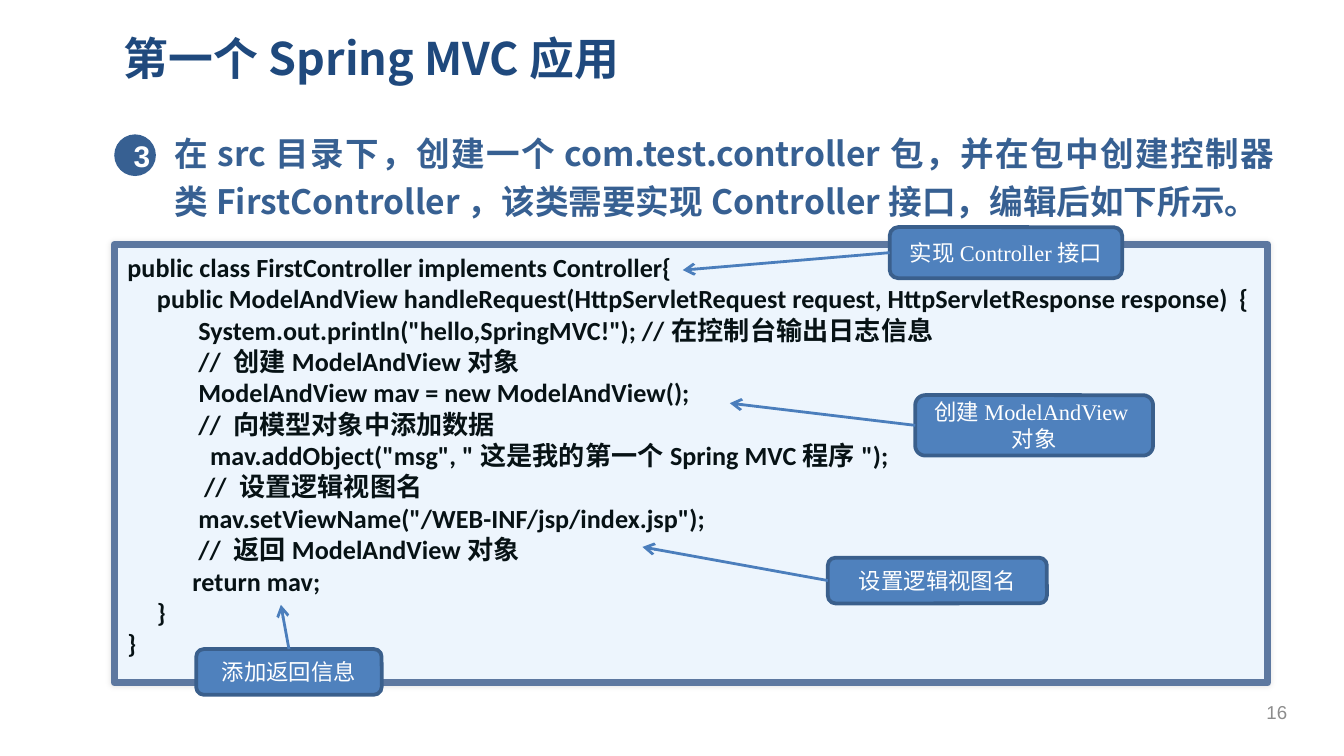
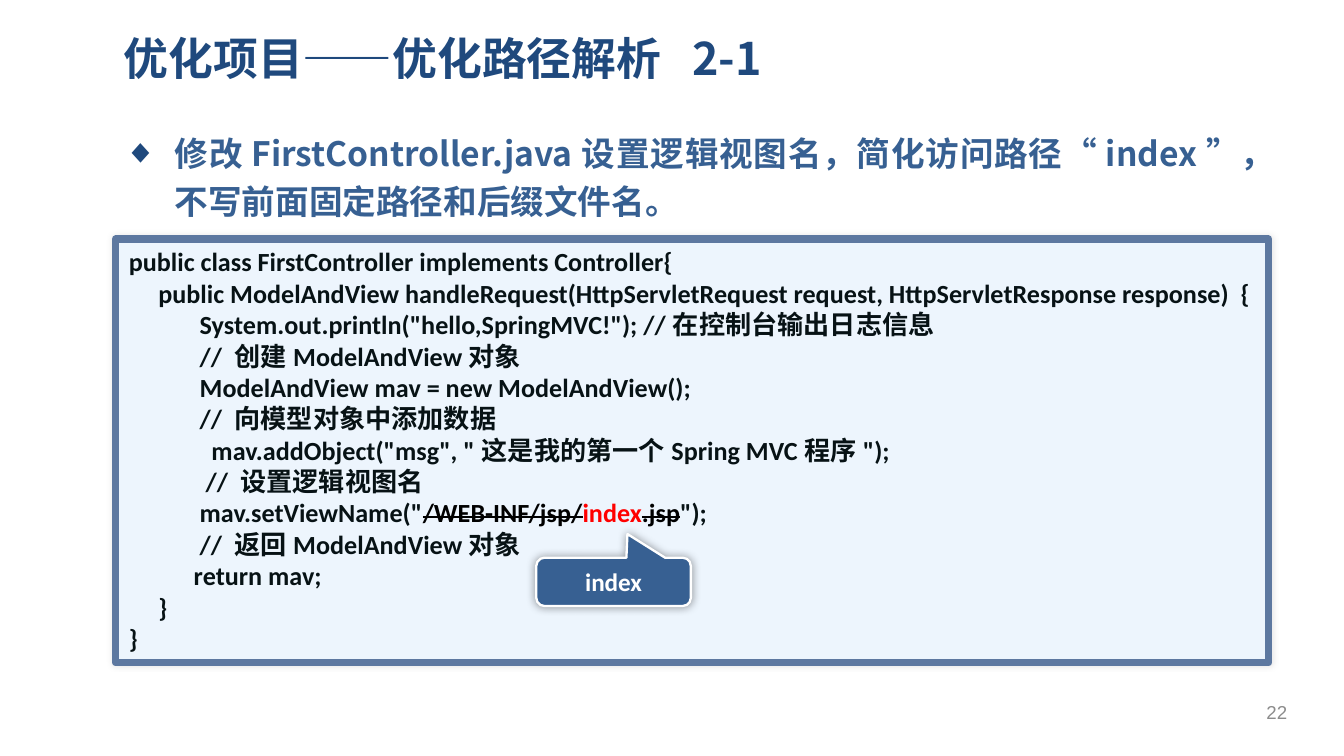
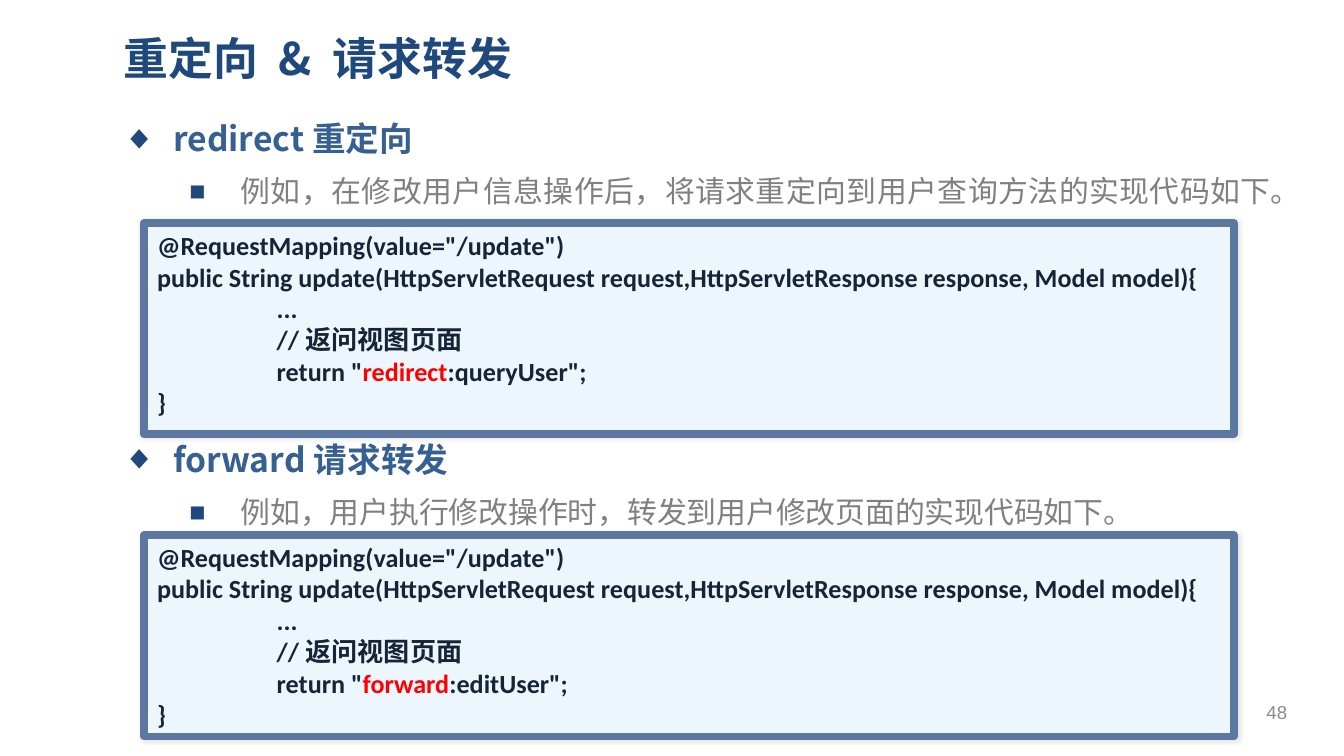
from lxml import etree
from pptx import Presentation
from pptx.dml.color import RGBColor
from pptx.enum import shapes, text
from pptx.oxml import ns
from pptx.util import Inches, Pt

NAVY = RGBColor(0x1F, 0x49, 0x7D)
BLUE = RGBColor(0x37, 0x60, 0x92)
GREY = RGBColor(0x80, 0x80, 0x80)
NUMBER_GREY = RGBColor(0x8C, 0x8C, 0x8C)
WHITE = RGBColor(0xFF, 0xFF, 0xFF)
BLACK = RGBColor(0, 0, 0)
RED = RGBColor(0xFF, 0, 0)
CODE_FILL = RGBColor(0xED, 0xF5, 0xFD)
CODE_BORDER = RGBColor(0x5D, 0x78, 0xA0)
CODE_INK = RGBColor(0x07, 0x12, 0x15)
CODE_NAVY = RGBColor(0x15, 0x24, 0x37)
NOTE_FILL = RGBColor(0x4F, 0x81, 0xBD)
NOTE_BORDER = RGBColor(0x3A, 0x5F, 0x8C)
ARROW = RGBColor(0x4B, 0x7E, 0xBC)

CJK = "Noto Sans CJK SC"
SHAPE = shapes.MSO_SHAPE
ALIGN = text.PP_ALIGN
ANCHOR = text.MSO_ANCHOR
TOP, LEFT = 0, 1
CODE_INDENT = 0.89

# A line is a string or a list of (text, extra run format) pairs.
STRUCK = dict(color=BLACK, strike=True)
HOT = dict(color=RED)


def controller_code(view_line):
    return [
        "public class FirstController implements Controller{",
        "     public ModelAndView handleRequest(HttpServletRequest request, HttpServletResponse response)  {",
        '            System.out.println("hello,SpringMVC!"); //在控制台输出日志信息',
        "            // 创建ModelAndView对象",
        "            ModelAndView mav = new ModelAndView();",
        "            // 向模型对象中添加数据",
        '              mav.addObject("msg", "这是我的第一个Spring MVC程序");',
        "             // 设置逻辑视图名",
        view_line,
        "            // 返回ModelAndView对象",
        "           return mav;",
        "     }",
        "}",
    ]


def update_code(prefix, target):
    return [
        '@RequestMapping(value="/update")',
        "public String update(HttpServletRequest request,HttpServletResponse response, Model model){",
        "...",
        "//返问视图页面",
        [('return "', {}), (prefix, HOT), (f':{target}";', {})],
        "}",
    ]


UPDATE_BODY = range(2, 5)
FULL_VIEW = '            mav.setViewName("/WEB-INF/jsp/index.jsp");'
SHORT_VIEW = [('            mav.setViewName("', {}), ("/WEB-INF/jsp/", STRUCK),
              ("index", HOT), (".jsp", STRUCK), ('");', {})]

STEP = dict(size=18, bold=True, color=BLUE, margin=0.38, spacing=1.2)
POINT = dict(STEP, bullet="◆", hang=0.38)
EXAMPLE = dict(POINT, size=16, bold=False, color=GREY, margin=0.88,
               bullet="■", bullet_size=90, level=1, before=4)

SLIDES = [
    dict(
        title="第一个Spring MVC应用", number=16, body_at=(0.83, 0.89),
        body=[("在src目录下，创建一个com.test.controller包，并在包中创建控制器类FirstController，"
               "该类需要实现Controller接口，编辑后如下所示。", STEP)],
        step="3",
        code=[((0.85, 1.82, 8.58, 3.26), controller_code(FULL_VIEW), CODE_INK)],
        # text, box, side the arrow leaves from, arrow tip
        notes=[("创建ModelAndView对象", (6.81, 2.94, 1.77, 0.45), LEFT, (5.43, 3)),
               ("设置逻辑视图名", (6.16, 4.15, 1.63, 0.34), LEFT, (4.78, 4.07)),
               ("实现Controller接口", (6.62, 1.69, 1.73, 0.38), LEFT, (5.08, 2.01)),
               ("添加返回信息", (1.46, 4.83, 1.38, 0.34), TOP, (2.09, 4.5))],
    ),
    dict(
        title="优化项目——优化路径解析  2-1", number=22, body_at=(0.83, 0.89),
        body=[("修改FirstController.java设置逻辑视图名，简化访问路径“index”，"
               "不写前面固定路径和后缀文件名。", POINT)],
        code=[((0.86, 1.78, 8.58, 3.15), controller_code(SHORT_VIEW), CODE_INK)],
        callout="index",
    ),
    dict(
        title="重定向 & 请求转发", number=48, body_at=(0.82, 0.78),
        body=[("redirect重定向", POINT),
              ("例如，在修改用户信息操作后，将请求重定向到用户查询方法的实现代码如下。", EXAMPLE),
              ("forward请求转发", dict(POINT, before=119)),
              ("例如，用户执行修改操作时，转发到用户修改页面的实现代码如下。", EXAMPLE)],
        code=[((1.07, 1.66, 8.11, 1.57), update_code("redirect", "queryUser"),
               CODE_NAVY, UPDATE_BODY),
              ((1.07, 3.98, 8.11, 1.5), update_code("forward", "editUser"),
               CODE_NAVY, UPDATE_BODY)],
    ),
]


def inches(values):
    return [Inches(v) for v in values]


def add_xml(parent, tag, **attributes):
    return etree.SubElement(parent, ns.qn(tag), {k: str(v) for k, v in attributes.items()})


def add_run(paragraph, words, font, size, color, bold=False, strike=False):
    run = paragraph.add_run()
    run.text = words
    run.font.name, run.font.size, run.font.bold = font, Pt(size), bold
    run.font.color.rgb = color
    properties = run._r.get_or_add_rPr()
    if strike:
        properties.set("strike", "sngStrike")
    add_xml(properties, "a:ea", typeface=CJK)


def write(frame, line, first=True, align=ALIGN.LEFT, spacing=None, before=0, level=0,
          margin=0, hang=0, bullet=None, bullet_size=100, **font):
    """Add one paragraph to a text frame; the remaining keywords format its runs."""
    paragraph = frame.paragraphs[0] if first else frame.add_paragraph()
    properties = paragraph._p.get_or_add_pPr()
    properties.set("marL", str(Inches(margin)))
    properties.set("indent", str(-Inches(hang)))
    if bullet:
        add_xml(add_xml(properties, "a:buClr"), "a:srgbClr", val=NAVY)
        add_xml(properties, "a:buSzPct", val=bullet_size * 1000)
        add_xml(properties, "a:buFont", typeface="Arial")
        add_xml(properties, "a:buChar", char=bullet)
    else:
        add_xml(properties, "a:buNone")
    paragraph.alignment, paragraph.level = align, level
    paragraph.line_spacing = spacing
    if not first:
        paragraph.space_before = Pt(before)
    for words, extra in [(line, {})] if isinstance(line, str) else line:
        add_run(paragraph, words, **{**font, **extra})


def add_text_box(slide, box, anchor=ANCHOR.MIDDLE):
    frame = slide.shapes.add_textbox(*inches(box)).text_frame
    frame.word_wrap, frame.vertical_anchor = True, anchor
    frame.margin_left = frame.margin_right = Inches(0.09)
    frame.margin_top = frame.margin_bottom = Inches(0.04)
    return frame


def add_box(slide, kind, box, fill, border=None, width=0, anchor=ANCHOR.MIDDLE):
    shape = slide.shapes.add_shape(kind, *inches(box))
    shape.shadow.inherit = False
    shape.fill.solid()
    shape.fill.fore_color.rgb = fill
    if border is None:
        shape.line.fill.background()
    else:
        shape.line.color.rgb, shape.line.width = border, Pt(width)
    shape.text_frame.word_wrap = True
    shape.text_frame.vertical_anchor = anchor
    return shape


def add_glow(shape, opacity, blur):
    """Give the shape a soft black shadow on all sides."""
    effects = shape._element.spPr.find(ns.qn("a:effectLst"))
    shadow = add_xml(effects, "a:outerShdw", blurRad=Pt(blur), dist=0, dir=0,
                     algn="ctr", rotWithShape=0)
    add_xml(add_xml(shadow, "a:srgbClr", val=BLACK), "a:alpha", val=opacity * 1000)


def add_code(slide, box, lines, ink, indented=()):
    panel = add_box(slide, SHAPE.ROUNDED_RECTANGLE, box, CODE_FILL, CODE_BORDER, 4, ANCHOR.TOP)
    panel.adjustments[0] = 0
    add_glow(panel, opacity=10, blur=3)
    for i, line in enumerate(lines):
        write(panel.text_frame, line, first=i == 0, margin=CODE_INDENT if i in indented else 0,
              font="Calibri", size=14, bold=True, color=ink)


def add_note(slide, label, box, side, tip):
    note = add_box(slide, SHAPE.ROUNDED_RECTANGLE, box, NOTE_FILL, NOTE_BORDER, 2)
    write(note.text_frame, label, align=ALIGN.CENTER,
          font="Times New Roman", size=12, color=WHITE)
    tip = inches(tip)
    arrow = slide.shapes.add_connector(shapes.MSO_CONNECTOR.STRAIGHT, *tip, *tip)
    arrow.begin_connect(note, side)
    arrow.line.color.rgb, arrow.line.width = ARROW, Pt(1.5)
    add_xml(arrow.line._get_or_add_ln(), "a:tailEnd", type="arrow")
    add_xml(arrow._element.spPr, "a:effectLst")


def add_step_badge(slide, step):
    badge = add_box(slide, SHAPE.OVAL, (0.85, 1, 0.31, 0.31), BLUE)
    write(badge.text_frame, step, align=ALIGN.CENTER,
          font="Arial", size=16, bold=True, color=WHITE)


def add_callout(slide, label):
    callout = add_box(slide, SHAPE.ROUNDED_RECTANGULAR_CALLOUT, (3.99, 4.15, 1.15, 0.36),
                      BLUE, WHITE, 1.25)
    for i, value in enumerate((0.09, -0.99, 0.17)):
        callout.adjustments[i] = value
    add_glow(callout, opacity=40, blur=5)
    write(callout.text_frame, label, align=ALIGN.CENTER,
          font="Calibri", size=13.5, bold=True, color=WHITE)


def build_slide(deck, content):
    slide = deck.slides.add_slide(deck.slide_layouts[6])
    body = add_text_box(slide, (*content["body_at"], 8.74, 4.26), ANCHOR.TOP)
    for i, (line, style) in enumerate(content["body"]):
        write(body, line, first=i == 0, align=ALIGN.JUSTIFY, font=CJK, **style)
    write(add_text_box(slide, (0.83, 0.18, 8.74, 0.5)), content["title"],
          font=CJK, size=24, bold=True, color=NAVY)
    if "step" in content:
        add_step_badge(slide, content["step"])
    for panel in content["code"]:
        add_code(slide, *panel)
    for note in content.get("notes", []):
        add_note(slide, *note)
    if "callout" in content:
        add_callout(slide, content["callout"])
    write(add_text_box(slide, (9.26, 5.15, 0.48, 0.3)), str(content["number"]),
          align=ALIGN.CENTER, font="Arial", size=10, color=NUMBER_GREY)


def main():
    deck = Presentation()
    deck.slide_width, deck.slide_height = Inches(10), Inches(10 * 9 / 16)
    for content in SLIDES:
        build_slide(deck, content)
    deck.save("out.pptx")


if __name__ == "__main__":
    main()
